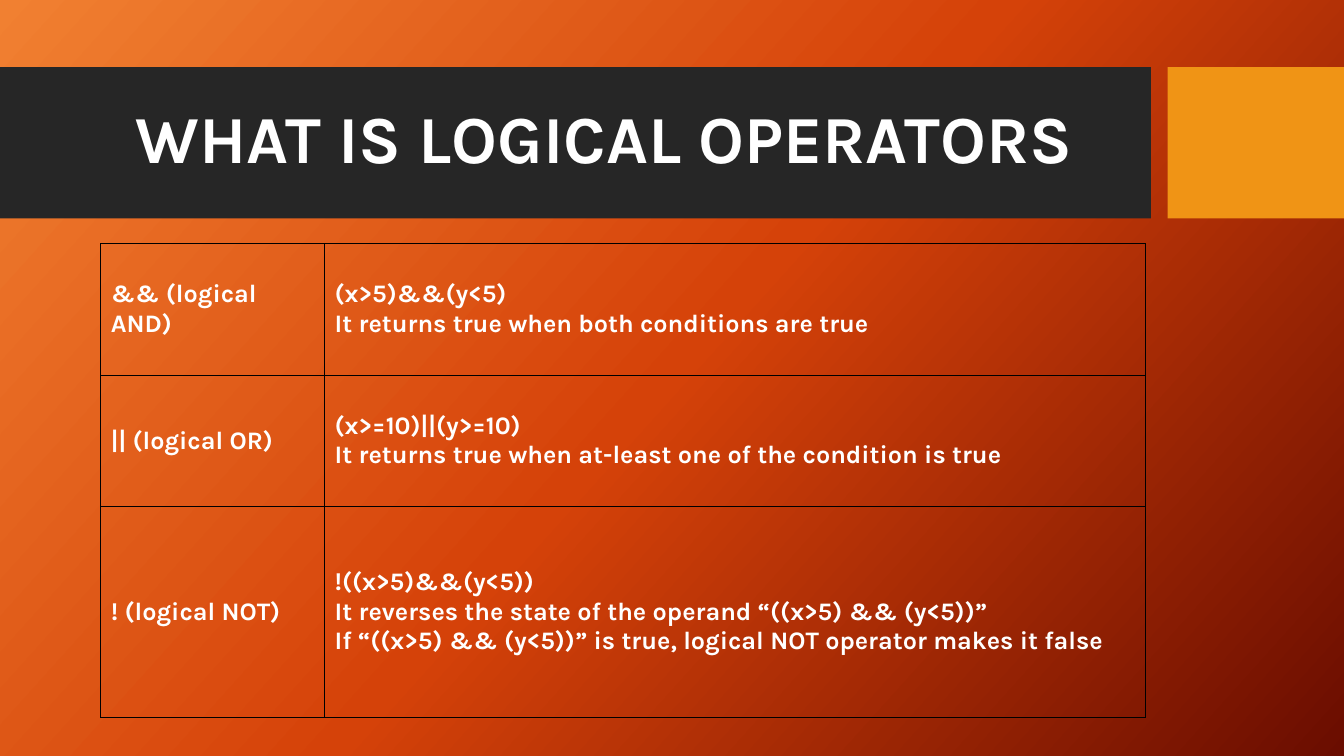
from lxml.etree import SubElement
from pptx import Presentation
from pptx.dml.color import RGBColor
from pptx.enum.shapes import MSO_SHAPE
from pptx.enum.text import MSO_ANCHOR, MSO_AUTO_SIZE, PP_ALIGN
from pptx.oxml.ns import qn
from pptx.util import Inches, Pt

WHITE = RGBColor(0xFF, 0xFF, 0xFF)
BLACK = RGBColor(0x00, 0x00, 0x00)
DARK = RGBColor(0x26, 0x26, 0x26)
GOLD = RGBColor(0xF0, 0x94, 0x15)
LIGHT = RGBColor(0xF1, 0x80, 0x31)
ORANGE = RGBColor(0xD5, 0x42, 0x09)
MAROON = RGBColor(0x6A, 0x0D, 0x00)

COLS, ROWS = 160, 90
FONT = {"name": "Karla", "bold": True}
FRAME = {
    "word_wrap": True,
    "auto_size": MSO_AUTO_SIZE.NONE,
    "vertical_anchor": MSO_ANCHOR.MIDDLE,
}
PLAIN = {"first_row": False, "horz_banding": False}

RULES = [
    ("&& (logical AND)",
     "(x>5)&&(y<5)\vIt returns true when both conditions are true"),
    ("|| (logical OR)",
     "(x>=10)||(y>=10)\n"
     "It returns true when at-least one of the condition is true"),
    ("! (logical NOT)",
     "!((x>5)&&(y<5))\n"
     "It reverses the state of the operand “((x>5) && (y<5))”\n"
     "If “((x>5) && (y<5))” is true, logical NOT operator makes it false"),
]


def dress(item, style):
    for key, value in style.items():
        setattr(item, key, value)


class Deck:
    def __init__(self):
        self.prs = Presentation()
        dress(self.prs, {"slide_width": Inches(13.33), "slide_height": Inches(7.5)})
        self.slide = self.prs.slides.add_slide(self.prs.slide_layouts[5])

    def across(self, cols):
        return round(self.prs.slide_width * cols / COLS)

    def down(self, rows):
        return round(self.prs.slide_height * rows / ROWS)

    def area(self, left, top, width, height):
        return self.across(left), self.down(top), self.across(width), self.down(height)

    def backdrop(self, stops, angle):
        fill = self.slide.background.fill
        fill.gradient()
        fill.gradient_angle = 360 - angle
        track = next(self.slide.element.iter(qn("a:gsLst")))
        for stop in list(track):
            track.remove(stop)
        for place, color in stops:
            stop = SubElement(track, qn("a:gs"), pos=str(place * 1000))
            SubElement(stop, qn("a:srgbClr"), val=str(color))

    def block(self, area, color):
        shape = self.slide.shapes.add_shape(MSO_SHAPE.RECTANGLE, *self.area(*area))
        shape.shadow.inherit = False
        shape.fill.solid()
        shape.fill.fore_color.rgb = color
        shape.line.fill.background()

    def label(self, frame, text, size, para):
        frame.text = text
        for line in frame.paragraphs:
            dress(line, para)
            for run in line.runs:
                dress(run.font, {**FONT, "size": Pt(size)})
                run.font.color.rgb = WHITE

    def title(self, area, text):
        shape = self.slide.shapes.title
        dress(shape, dict(zip(("left", "top", "width", "height"), self.area(*area))))
        dress(shape.text_frame, FRAME)
        self.label(shape.text_frame, text, 48,
                   {"alignment": PP_ALIGN.CENTER, "line_spacing": 0.9})
        self.slide.shapes.element.append(shape.element)

    def border(self, cell):
        props = cell._tc.get_or_add_tcPr()
        for side in "LRTB":
            line = SubElement(props, qn("a:ln" + side), w=str(Pt(0.75)))
            fill = SubElement(line, qn("a:solidFill"))
            SubElement(fill, qn("a:srgbClr"), val=str(BLACK))

    def table(self, left, top, widths, heights, data):
        area = self.area(left, top, sum(widths), sum(heights))
        grid = self.slide.shapes.add_table(len(heights), len(widths), *area).table
        dress(grid, PLAIN)
        for col, width in zip(grid.columns, widths):
            col.width = self.across(width)
        for row, height, texts in zip(grid.rows, heights, data):
            row.height = self.down(height)
            for cell, text in zip(row.cells, texts):
                self.border(cell)
                cell.fill.background()
                cell.vertical_anchor = MSO_ANCHOR.MIDDLE
                self.label(cell.text_frame, text, 18, {"alignment": PP_ALIGN.LEFT})


def main():
    deck = Deck()
    deck.backdrop([(0, LIGHT), (50, ORANGE), (100, MAROON)], 42)
    deck.block((0, 8, 137, 18), DARK)
    deck.block((139, 8, 21, 18), GOLD)
    deck.title((8.9, 9.8, 126.1, 14.2), "WHAT IS LOGICAL OPERATORS")
    deck.table(12, 29, (26.65, 97.7), (15.65, 15.65, 25.1), RULES)
    deck.prs.save("out.pptx")


if __name__ == "__main__":
    main()
